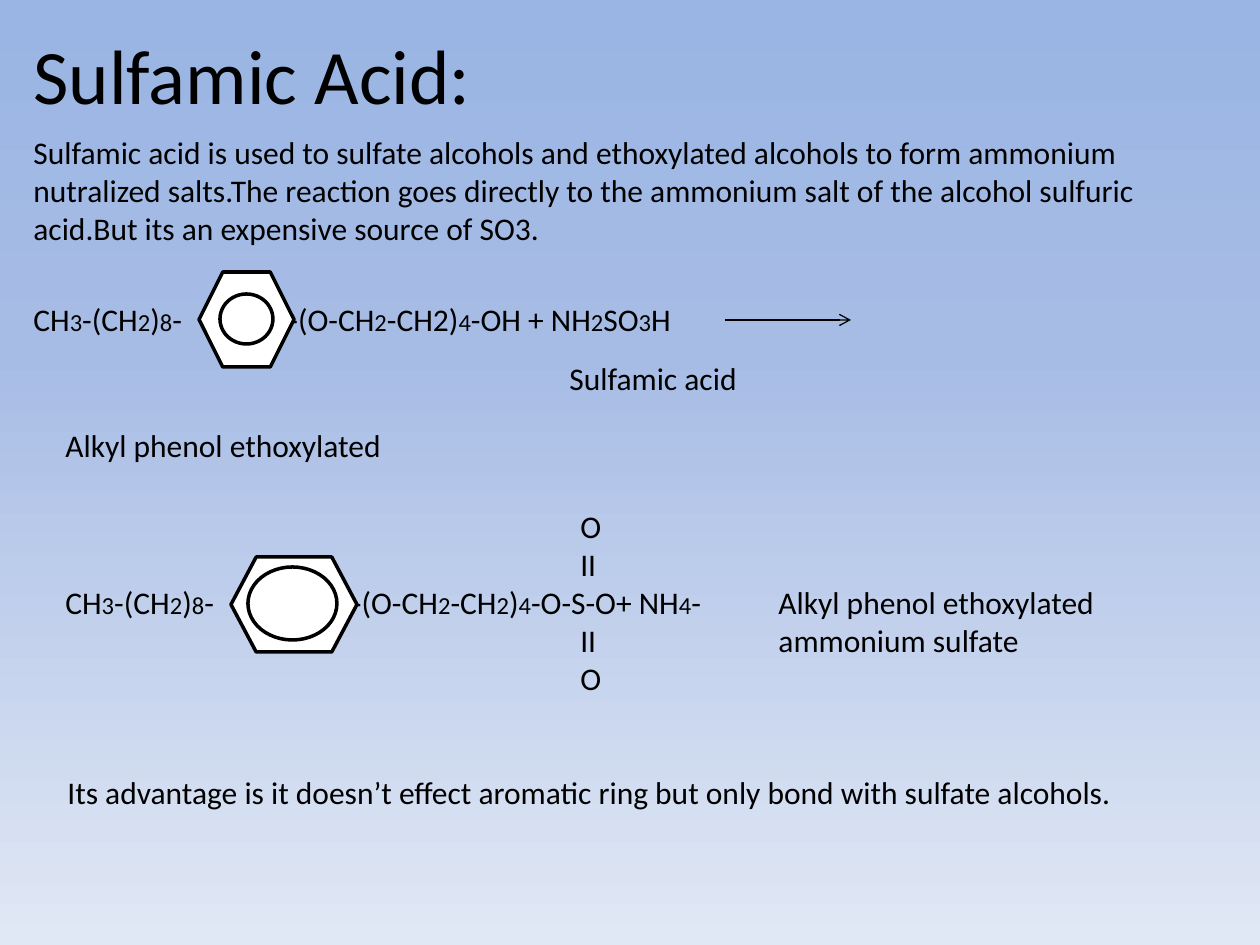
"""Build the sulfamic acid slide with its two reaction formulas."""
from copy import deepcopy

from lxml import etree
from pptx import Presentation
from pptx.dml.color import RGBColor
from pptx.enum.shapes import MSO_CONNECTOR, MSO_SHAPE
from pptx.enum.text import MSO_ANCHOR, MSO_AUTO_SIZE, PP_ALIGN
from pptx.oxml.ns import qn
from pptx.util import Emu, Pt

STRAIGHT = MSO_CONNECTOR.STRAIGHT
HEXAGON = MSO_SHAPE.HEXAGON
PREPARATION = MSO_SHAPE.FLOWCHART_PREPARATION
OVAL = MSO_SHAPE.OVAL
TOP = MSO_ANCHOR.TOP
LEFT = PP_ALIGN.LEFT
FIT_SHAPE = MSO_AUTO_SIZE.SHAPE_TO_FIT_TEXT

FONT = "Calibri"
BLACK, WHITE = "000000", "FFFFFF"
BACKGROUND = [(0, "9AB5E4"), (0.37, "A7BCE5"), (1, "E1E8F5")]
TITLE_SIZE, BODY_SIZE, INDEX_SIZE = 44, 18, 14
LINE_HEIGHT = 22


def px(length):
    return Emu(round(length * 914400 / 126))


def rgb(value):
    return RGBColor.from_string(value)


class ReactionSlide:
    """Hold the style and the current slide."""

    def __init__(self, presentation):
        self.slide = presentation.slides.add_slide(presentation.slide_layouts[5])

    def background(self, stops):
        fill = self.slide.background.fill
        fill.gradient()
        fill.gradient_angle = 270
        stop_list = fill.gradient_stops[0]._gs.getparent()
        stop_list.insert(1, deepcopy(stop_list[0]))
        for stop, (position, color) in zip(fill.gradient_stops, stops):
            stop.position = position
            stop.color.rgb = rgb(color)

    def run(self, paragraph, text, size=BODY_SIZE):
        run = paragraph.add_run()
        run.text = text
        run.font.name = FONT
        run.font.size = Pt(size)
        run.font.color.rgb = rgb(BLACK)

    def frame(self, holder):
        frame = holder.text_frame
        frame.word_wrap = True
        frame.auto_size = FIT_SHAPE
        frame.vertical_anchor = TOP
        frame.paragraphs[0].alignment = LEFT
        return frame

    def box(self, left, top, width, height):
        area = map(px, (left, top, width, height))
        return self.frame(self.slide.shapes.add_textbox(*area))

    def title(self, text, left, top, width, height):
        title = self.slide.shapes.title
        title.left, title.top = px(left), px(top)
        title.width, title.height = px(width), px(height)
        self.run(self.frame(title).paragraphs[0], text, TITLE_SIZE)

    def text(self, text, left, top, width, height):
        self.run(self.box(left, top, width, height).paragraphs[0], text)

    def formula(self, parts, tab, left, top, width, height):
        """Write parts that alternate between symbols and small indices."""
        paragraph = self.box(left, top, width, height).paragraphs[0]
        tabs = etree.SubElement(paragraph._p.get_or_add_pPr(), qn("a:tabLst"))
        etree.SubElement(tabs, qn("a:tab"), pos=str(px(tab)), algn="l")
        for index, part in enumerate(parts):
            self.run(paragraph, part, INDEX_SIZE if index % 2 else BODY_SIZE)

    def column(self, rows, left, top, width, height):
        """Stack rows of (text, points of space before)."""
        frame = self.box(left, top, width, height)
        for index, (text, gap) in enumerate(rows):
            paragraph = frame.add_paragraph() if index else frame.paragraphs[0]
            paragraph.space_before = Pt(gap)
            self.run(paragraph, text)

    def outline(self, kind, left, top, width, height):
        area = map(px, (left, top, width, height))
        shape = self.slide.shapes.add_shape(kind, *area)
        shape.shadow.inherit = False
        shape.fill.solid()
        shape.fill.fore_color.rgb = rgb(WHITE)
        shape.line.color.rgb = rgb(BLACK)
        shape.line.width = Pt(2)

    def arrow(self, start, end, y):
        ends = map(px, (start, y, end, y))
        arrow = self.slide.shapes.add_connector(STRAIGHT, *ends)
        arrow.line.color.rgb = rgb(BLACK)
        arrow.line.width = Pt(0.75)
        etree.SubElement(arrow.line._get_or_add_ln(), qn("a:tailEnd"), type="arrow")
        etree.SubElement(arrow._element.spPr, qn("a:effectLst"))


def main():
    presentation = Presentation()
    presentation.slide_width, presentation.slide_height = px(1260), px(945)
    page = ReactionSlide(presentation)
    page.background(BACKGROUND)
    page.title("Sulfamic Acid:", 21, 21, 672, 106)
    page.text(
        "Sulfamic acid is used to sulfate alcohols and ethoxylated alcohols to form "
        "ammonium nutralized salts.The reaction goes directly to the ammonium salt of "
        "the alcohol sulfuric acid.But its an expensive source of SO3.",
        21, 127, 1218, 127)

    alkyl = ["CH", "3", "-(CH", "2", ")", "8"]
    page.formula(
        alkyl + ["-\t-(O-CH", "2", "-CH2)", "4", "-OH + NH", "2", "SO", "3", "H"],
        255, 21, 294, 966, 50)
    page.outline(HEXAGON, 199, 272, 95, 95)
    page.outline(OVAL, 220, 294, 53, 50)
    page.arrow(725, 851, 320)
    page.text("Alkyl phenol ethoxylated", 53, 420, 368, 50)
    page.text("Sulfamic acid", 557, 353, 210, 50)

    page.formula(
        alkyl + ["-\t--(O-CH", "2", "-CH", "2", ")", "4", "-O-S-O+ NH", "4", "-"],
        277, 53, 577, 683, 50)
    page.column([("O", 0), ("II", 0), ("II", LINE_HEIGHT), ("O", 0)],
                568, 501, 126, 204)
    page.outline(PREPARATION, 231, 557, 126, 95)
    page.outline(OVAL, 248, 567, 89, 73)
    page.text("Alkyl phenol ethoxylated ammonium sulfate", 766, 577, 473, 89)
    page.text("Its advantage is it doesn’t effect aromatic ring but only bond with "
              "sulfate alcohols.", 55, 767, 1092, 50)
    presentation.save("out.pptx")


if __name__ == "__main__":
    main()
